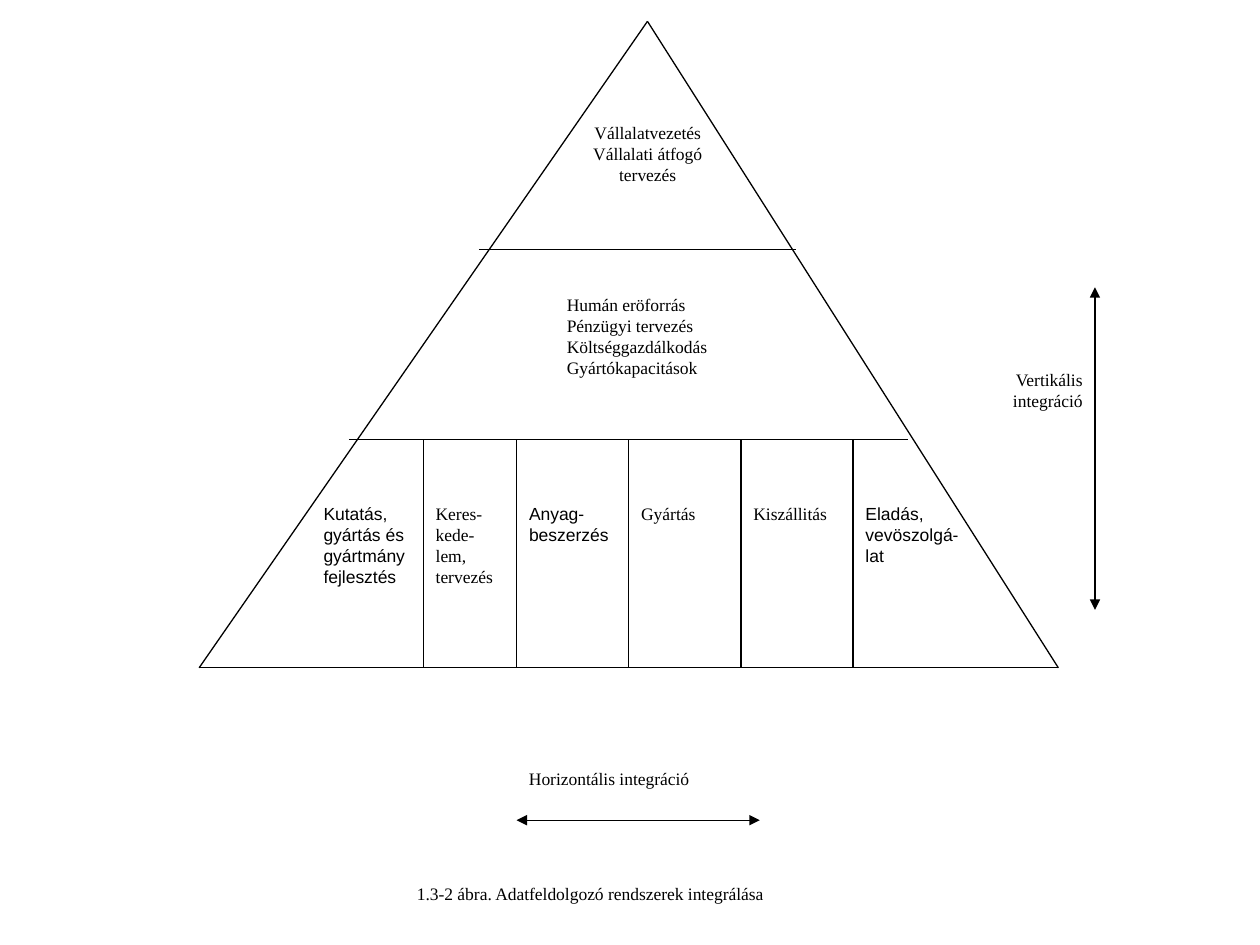
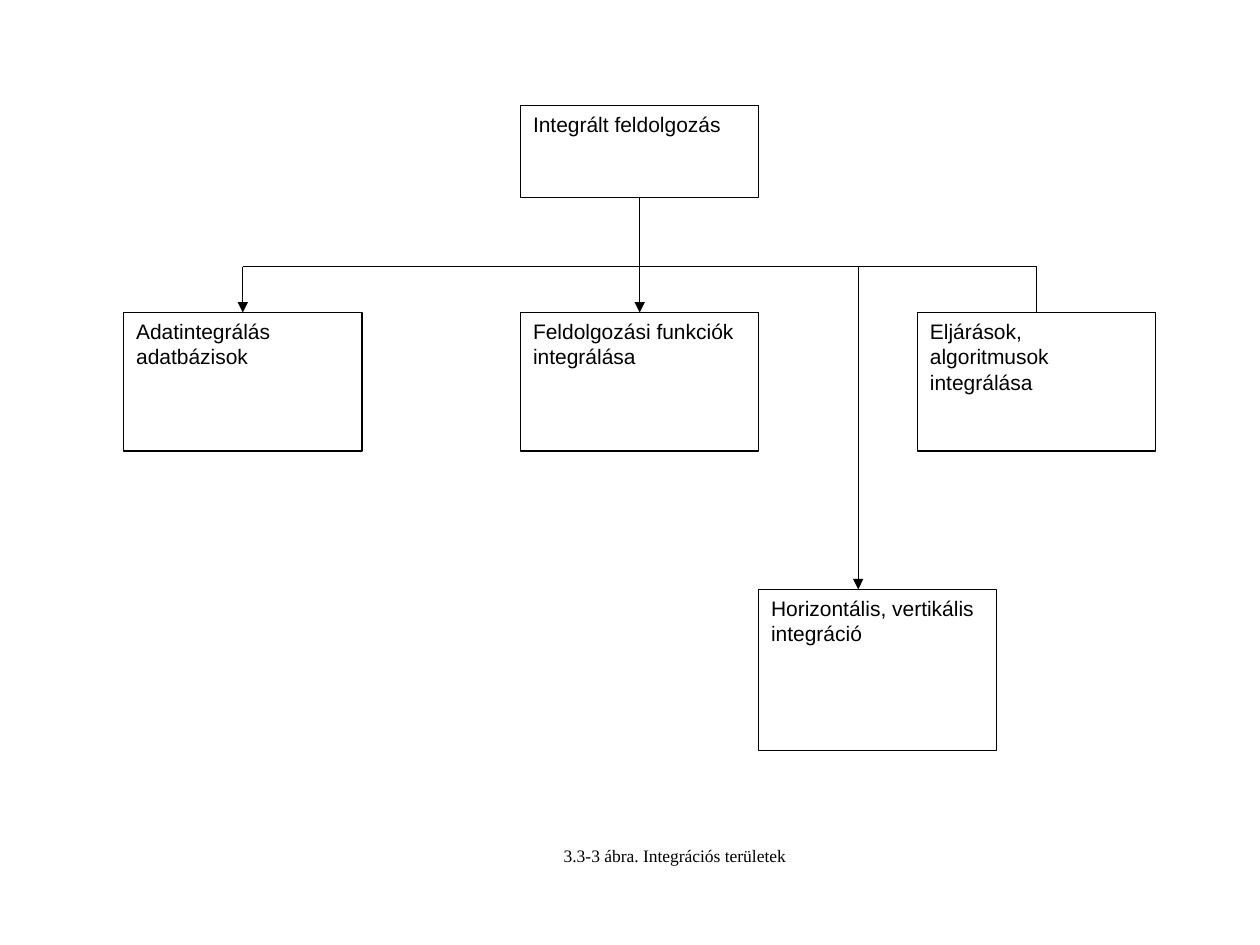
from dataclasses import dataclass

from lxml import etree
from pptx import Presentation
from pptx.dml.color import RGBColor
from pptx.enum.shapes import MSO_CONNECTOR, MSO_SHAPE
from pptx.enum.text import MSO_ANCHOR, PP_ALIGN
from pptx.oxml.ns import qn
from pptx.util import Pt

STRAIGHT = MSO_CONNECTOR.STRAIGHT
RECTANGLE = MSO_SHAPE.RECTANGLE
PROCESS = MSO_SHAPE.FLOWCHART_PROCESS
LEFT, CENTER, RIGHT = PP_ALIGN.LEFT, PP_ALIGN.CENTER, PP_ALIGN.RIGHT
TOP = MSO_ANCHOR.TOP


@dataclass(frozen=True)
class Theme:
    ink: RGBColor = RGBColor(0, 0, 0)
    paper: RGBColor = RGBColor(255, 255, 255)
    serif: str = "Times New Roman"
    sans: str = "Arial"
    label_size: float = 10
    box_size: float = 12
    stroke: float = 0.75
    inset_x: float = 7.2
    inset_y: float = 3.6


THEME = Theme()

# Integration pyramid: all lengths in points
APEX, BASE_LEFT, BASE_RIGHT = (370, 12.2), (113.8, 381.6), (604.8, 381.6)
LEVELS = [(273.6, 455, 142.6), (199.4, 519.1, 251.3)]  # left, right, y
FUNCTION_STEP = 64.1
FIRST_DIVIDER, SECOND_DIVIDER = 241.9, 295.2
FUNCTION_TOP, FUNCTION_HEIGHT = 283.7, 98
FUNCTIONS = [
    ("Kutatás, gyártás és gyártmány fejlesztés", THEME.sans),
    ("Keres-kede-lem, tervezés", THEME.serif),
    ("Anyag- beszerzés", THEME.sans),
    ("Gyártás", THEME.serif),
    ("Kiszállitás", THEME.serif),
    ("Eladás, vevöszolgá- lat", THEME.sans),
]
LAST_FUNCTION_WIDTH = 75
PYRAMID_LABELS = [
    (["Vállalatvezetés", "Vállalati átfogó tervezés"],
     (316.8, 66.2, 106.6, 87), CENTER),
    (["Humán eröforrás", "Pénzügyi tervezés", "Költséggazdálkodás",
      "Gyártókapacitások"], (316.8, 164.2, 149, 87), LEFT),
    (["Vertikális", "integráció"], (540.7, 207.4, 85, 43.2), RIGHT),
    (["Horizontális integráció"], (295.2, 435.6, 192.2, 21.6), LEFT),
    (["1.3-2 ábra. Adatfeldolgozó rendszerek integrálása"],
     (231.1, 501.1, 308.9, 21.6), LEFT),
]
INTEGRATION_ARROWS = [
    ((295.2, 468.7), (434.2, 468.7)),
    ((625.7, 348.5), (625.7, 164.2)),
]

# Integration areas: all lengths in points
ROOT = ["Integrált feldolgozás"]
AREAS = [
    (["Adatintegrálás", "adatbázisok"], True),
    (["Feldolgozási funkciók integrálása"], False),
    (["Eljárások,", "algoritmusok integrálása"], False),
]
CROSS_AREA = ["Horizontális, vertikális integráció"]
AREAS_CAPTION = ["3.3-3 ábra. Integrációs területek"]
AREA_LEFT, AREA_STEP, AREA_WIDTH = 70.7, 226.8, 136.1
ROOT_TOP, ROOT_HEIGHT = 60.4, 52.6
AREA_TOP, AREA_HEIGHT = 178.6, 79.2
BUS_Y = 152.4
CROSS_FRAME = (433.5, 336.8, AREA_WIDTH, 92)
CROSS_ARROW_X = 490.4
CAPTION_FRAME = (263.5, 479.5, 244.1, 19.4)


def set_all(target, values):
    for name, value in values.items():
        setattr(target, name, value)


def draw_line(page, start, end, head=False, tail=False):
    line = page.shapes.add_connector(
        STRAIGHT, *(Pt(value) for value in (*start, *end)))
    line.line.color.rgb = THEME.ink
    line.line.width = Pt(THEME.stroke)
    etree.SubElement(line._element.spPr, qn("a:effectLst"))
    outline = line.line._get_or_add_ln()
    for wanted, tag in ((head, "a:headEnd"), (tail, "a:tailEnd")):
        if wanted:
            etree.SubElement(outline, qn(tag), type="triangle")


def write(box, lines, font, size, align):
    frame = box.text_frame
    set_all(frame, {
        "word_wrap": True, "vertical_anchor": TOP,
        "margin_left": Pt(THEME.inset_x), "margin_right": Pt(THEME.inset_x),
        "margin_top": Pt(THEME.inset_y), "margin_bottom": Pt(THEME.inset_y),
    })
    for index, text in enumerate(lines):
        para = frame.add_paragraph() if index else frame.paragraphs[0]
        para.alignment = align
        span = para.add_run()
        span.text = text
        set_all(span.font, {"name": font, "size": Pt(size)})
        span.font.color.rgb = THEME.ink


def add_label(page, lines, frame, font=THEME.serif, align=LEFT):
    box = page.shapes.add_textbox(*(Pt(value) for value in frame))
    write(box, lines, font, THEME.label_size, align)


def add_area(page, lines, frame, kind=PROCESS):
    box = page.shapes.add_shape(kind, *(Pt(value) for value in frame))
    box.shadow.inherit = False
    box.fill.solid()
    box.fill.fore_color.rgb = THEME.paper
    box.line.color.rgb = THEME.ink
    box.line.width = Pt(THEME.stroke)
    write(box, lines, THEME.sans, THEME.box_size, LEFT)


def build_pyramid(page):
    corners = [APEX, BASE_RIGHT, BASE_LEFT]
    for index, corner in enumerate(corners):
        draw_line(page, corner, corners[(index + 1) % len(corners)])
    for left, right, y in LEVELS:
        draw_line(page, (left, y), (right, y))

    dividers = [FIRST_DIVIDER] + [
        SECOND_DIVIDER + FUNCTION_STEP * index
        for index in range(len(FUNCTIONS) - 2)]
    for x in dividers:
        draw_line(page, (x, LEVELS[-1][2]), (x, BASE_LEFT[1]))

    edges = [FIRST_DIVIDER - FUNCTION_STEP, *dividers,
             dividers[-1] + LAST_FUNCTION_WIDTH]
    for (text, font), left, right in zip(FUNCTIONS, edges, edges[1:]):
        add_label(page, [text],
                  (left, FUNCTION_TOP, right - left, FUNCTION_HEIGHT), font)
    for lines, frame, align in PYRAMID_LABELS:
        add_label(page, lines, frame, align=align)
    for start, end in INTEGRATION_ARROWS:
        draw_line(page, start, end, head=True, tail=True)


def build_areas(page):
    lefts = [AREA_LEFT + AREA_STEP * index for index in range(len(AREAS))]
    centers = [left + AREA_WIDTH / 2 for left in lefts]
    middle = len(AREAS) // 2

    add_area(page, ROOT, (lefts[middle], ROOT_TOP, AREA_WIDTH, ROOT_HEIGHT))
    draw_line(page, (centers[0], BUS_Y), (centers[-1], BUS_Y))
    for index, (lines, arrow) in enumerate(AREAS):
        add_area(page, lines,
                 (lefts[index], AREA_TOP, AREA_WIDTH, AREA_HEIGHT))
        if index != middle:
            draw_line(page, (centers[index], BUS_Y),
                      (centers[index], AREA_TOP), tail=arrow)
    draw_line(page, (centers[middle], ROOT_TOP + ROOT_HEIGHT),
              (centers[middle], AREA_TOP), tail=True)

    add_area(page, CROSS_AREA, CROSS_FRAME, RECTANGLE)
    draw_line(page, (CROSS_ARROW_X, BUS_Y),
              (CROSS_ARROW_X, CROSS_FRAME[1]), tail=True)
    add_label(page, AREAS_CAPTION, CAPTION_FRAME, align=CENTER)


def main():
    deck = Presentation()
    set_all(deck, {"slide_width": Pt(720), "slide_height": Pt(540)})
    blank = deck.slide_layouts[6]
    for build in (build_pyramid, build_areas):
        build(deck.slides.add_slide(blank))
    deck.save("out.pptx")


if __name__ == "__main__":
    main()
